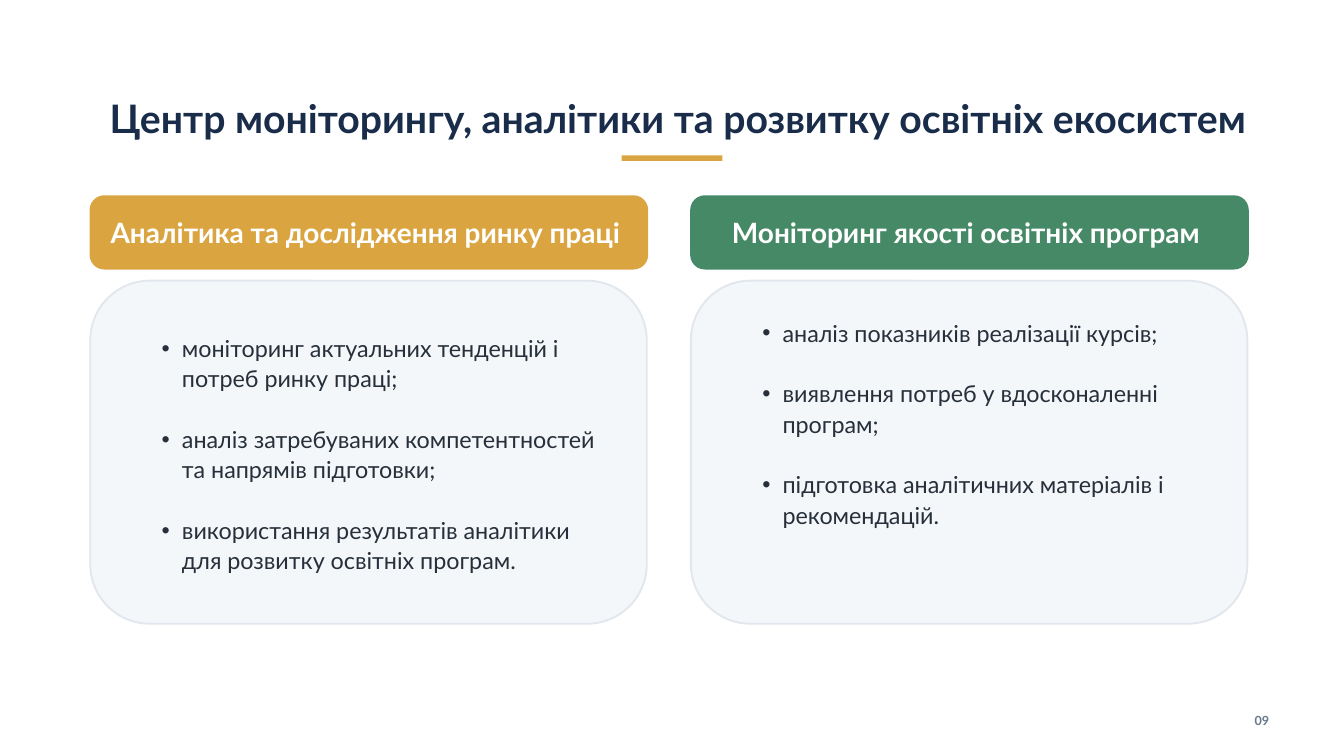
import pptx
import pptx.dml.color
import pptx.enum.shapes
import pptx.enum.text
import pptx.oxml
import pptx.oxml.ns
import pptx.util

PX = 9525  # EMU per pixel at 96 pixels to the inch
COLORS = {
    "navy": "192D4B",
    "gold": "DAA541",
    "green": "458967",
    "panel": "F4F7FA",
    "border": "E1E7ED",
    "body": "262F3A",
    "muted": "69788A",
    "white": "FFFFFF",
}
ALIGN = pptx.enum.text.PP_ALIGN
SHAPES = pptx.enum.shapes.MSO_SHAPE
COLUMN_STEP = 858

presentation = pptx.Presentation()
presentation.slide_width = 1920 * PX
presentation.slide_height = 1080 * PX
slide = presentation.slides.add_slide(presentation.slide_layouts[6])


def add_block(kind, left, top, width, height, fill, radius=0):
    """Add a filled shape without outline or shadow; radius is in px."""
    shape = slide.shapes.add_shape(kind, left * PX, top * PX, width * PX, height * PX)
    shape.shadow.inherit = False
    shape.fill.solid()
    shape.fill.fore_color.rgb = pptx.dml.color.RGBColor.from_string(COLORS[fill])
    shape.line.fill.background()
    if radius:
        shape.adjustments[0] = radius / height
    return shape


def set_text(shape, text, size, color, line_spacing, alignment, bold=True, margin=0):
    """Fill a shape with one paragraph per line of text."""
    frame = shape.text_frame
    frame.word_wrap = True
    frame.margin_left = frame.margin_right = margin * PX
    frame.margin_top = frame.margin_bottom = margin * PX
    frame.text = text
    for paragraph in frame.paragraphs:
        paragraph.alignment = alignment
        paragraph.line_spacing = pptx.util.Pt(line_spacing)
        for run in paragraph.runs:
            run.font.name = "Lato"
            run.font.size = pptx.util.Pt(size)
            run.font.bold = bold
            run.font.color.rgb = pptx.dml.color.RGBColor.from_string(COLORS[color])
    return frame


title = slide.shapes.add_textbox(154 * PX, 135 * PX, 1629 * PX, 67 * PX)
set_text(title, "Центр моніторингу, аналітики та розвитку освітніх екосистем",
         42, "navy", 50.4, ALIGN.CENTER)
add_block(SHAPES.RECTANGLE, 888, 222, 144, 8, "gold")

columns = [
    ("Аналітика та дослідження ринку праці ", "gold", 474, 343, [
        "моніторинг актуальних тенденцій і потреб ринку праці;",
        "аналіз затребуваних компетентностей та напрямів підготовки;",
        "використання результатів аналітики для розвитку освітніх програм.",
    ]),
    ("Моніторинг якості освітніх програм ", "green", 452, 300, [
        "аналіз показників реалізації курсів;",
        "виявлення потреб у вдосконаленні програм;",
        "підготовка аналітичних матеріалів і рекомендацій.",
    ]),
]
for index, (heading, color, list_top, list_height, items) in enumerate(columns):
    offset = index * COLUMN_STEP

    panel = add_block(SHAPES.ROUNDED_RECTANGLE, 129 + offset, 401, 795, 490, "panel", 85)
    panel.line.color.rgb = pptx.dml.color.RGBColor.from_string(COLORS["border"])
    panel.line.width = pptx.util.Pt(2)

    bullet_list = slide.shapes.add_textbox(
        (203 + offset) * PX, list_top * PX, 649 * PX, list_height * PX)
    frame = set_text(bullet_list, "\n".join(items), 25, "body", 32.5, ALIGN.LEFT, bold=False)
    for number, paragraph in enumerate(frame.paragraphs):
        if number:
            paragraph.space_before = pptx.util.Pt(32.5)
        properties = paragraph._p.get_or_add_pPr()
        properties.set("marL", str(57 * PX))
        properties.set("indent", str(-29 * PX))
        namespace = pptx.oxml.ns.nsdecls("a")
        properties.append(pptx.oxml.parse_xml(f'<a:buFont {namespace} typeface="Arial"/>'))
        properties.append(pptx.oxml.parse_xml(f'<a:buChar {namespace} char="•"/>'))

    header = add_block(SHAPES.ROUNDED_RECTANGLE, 128 + offset, 279, 798, 106, color, 21)
    frame = set_text(header, heading, 30, "white", 36, ALIGN.CENTER, margin=6)
    frame.vertical_anchor = pptx.enum.text.MSO_ANCHOR.MIDDLE

page_number = slide.shapes.add_textbox(1753 * PX, 1019 * PX, 60 * PX, 22 * PX)
set_text(page_number, "09", 13.5, "muted", 16.2, ALIGN.RIGHT)

presentation.save("out.pptx")
